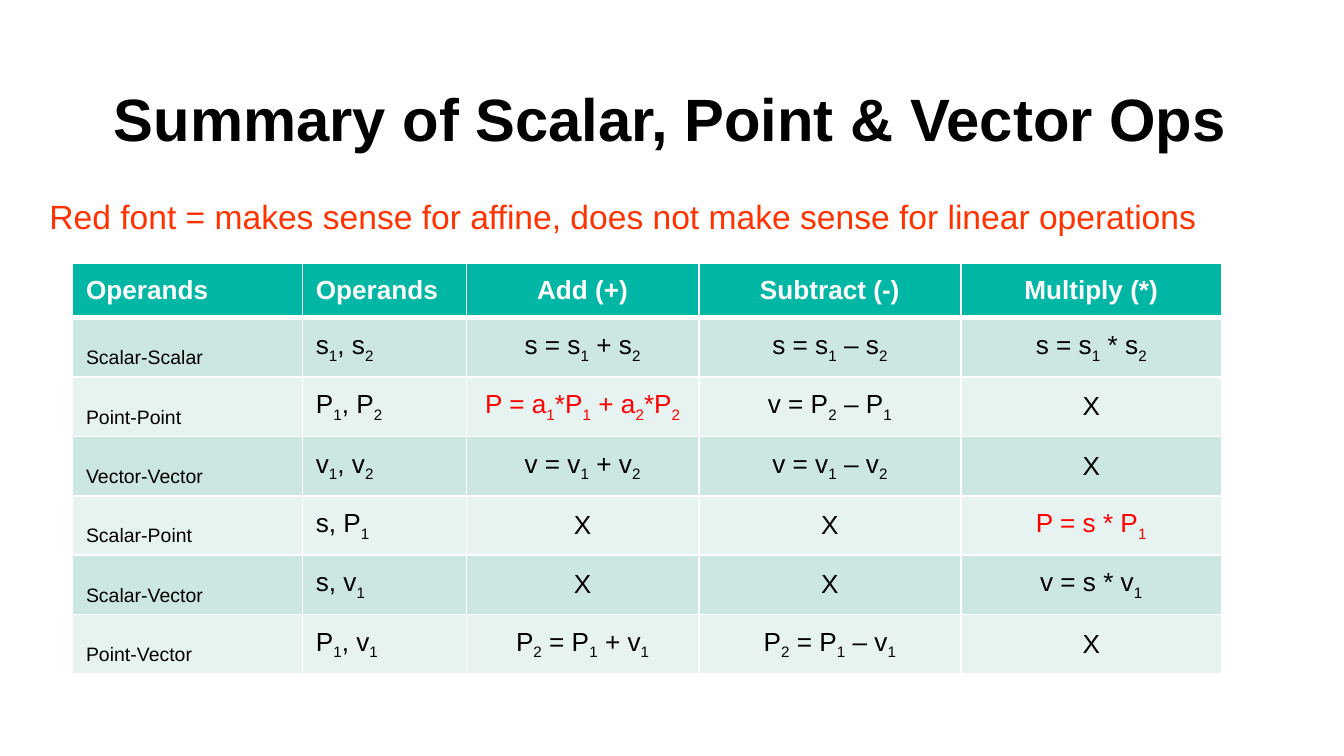
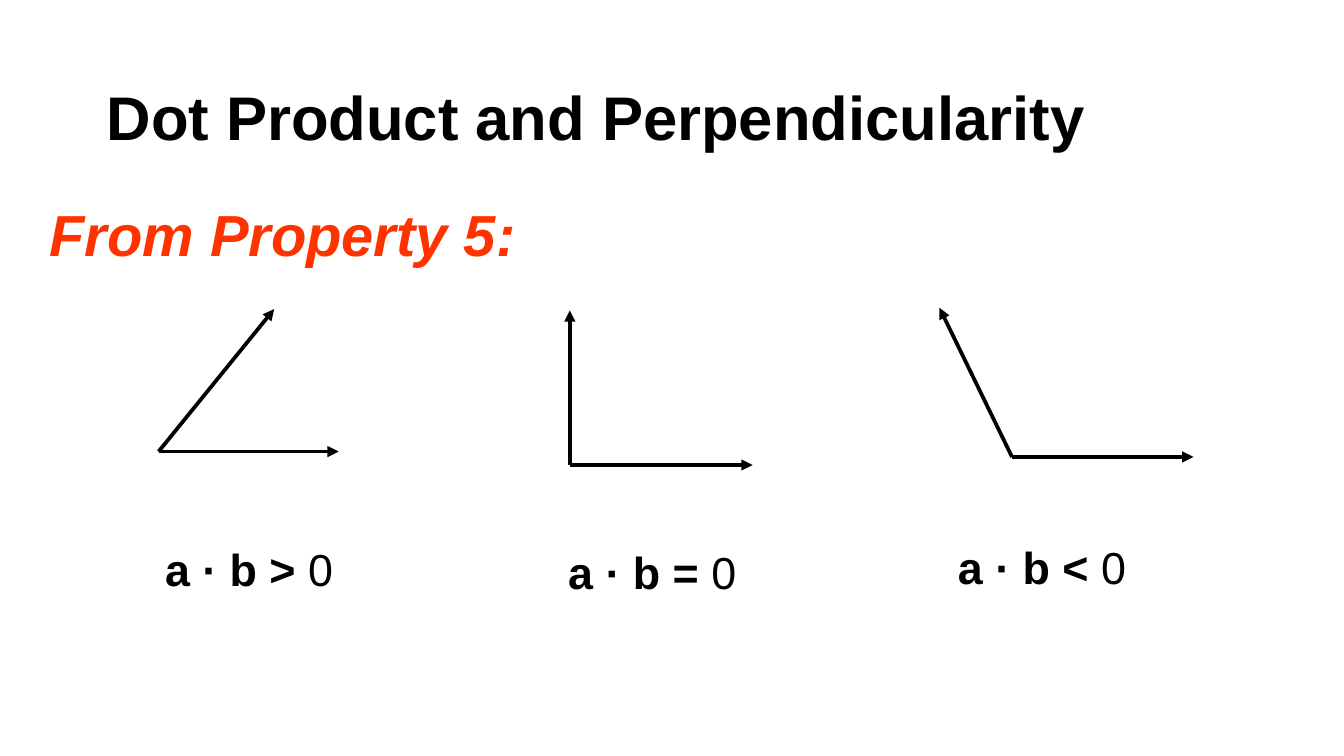
from lxml import etree
from pptx import Presentation
from pptx import util as u
from pptx.dml.color import RGBColor
from pptx.enum import shapes, text
from pptx.oxml.ns import qn

# Lengths are in grid units: the slide is 100 columns wide and 56.25 rows high.
COLUMNS, ROWS = 100, 56.25
FONT = "Arial"
BLACK, WHITE, RED, ORANGE = "000000", "FFFFFF", "FF0000", "FF3300"
HEADER_FILL, BAND_FILLS = "00B7A5", ("CCE6E1", "E7F3F0")
LEFT, CENTER = text.PP_ALIGN.LEFT, text.PP_ALIGN.CENTER

OPERATIONS = [
    ["Operands", "Operands", "Add (+)", "Subtract (-)", "Multiply (*)"],
    ["Scalar-Scalar", "s_1, s_2", "s = s_1 + s_2", "s = s_1 – s_2", "s = s_1 * s_2"],
    ["Point-Point", "P_1, P_2", "P = a_1*P_1 + a_2*P_2", "v = P_2 – P_1", "X"],
    ["Vector-Vector", "v_1, v_2", "v = v_1 + v_2", "v = v_1 – v_2", "X"],
    ["Scalar-Point", "s, P_1", "X", "X", "P = s * P_1"],
    ["Scalar-Vector", "s, v_1", "X", "X", "v = s * v_1"],
    ["Point-Vector", "P_1, v_1", "P_2 = P_1 + v_1", "P_2 = P_1 – v_1", "X"],
]
AFFINE_ONLY = {(2, 2), (4, 4)}

# Corner, tip of a, tip of b, label position, relation
ANGLES = [
    ((11.8, 33.6), (20.4, 23), (25.2, 33.6), (11.3, 39.8), ">"),
    ((42.4, 34.6), (42.4, 23.1), (56, 34.6), (41.3, 40), "="),
    ((75.3, 34), (69.9, 22.9), (88.8, 34), (70.3, 39.7), "<"),
]


def color(value):
    return RGBColor.from_string(value)


def split_subscripts(markup):
    """Yield (text, is_subscript); the character after each "_" is lowered."""
    first, *others = markup.split("_")
    pieces = [(first, False)]
    for other in others:
        pieces += [(other[0], True), (other[1:], False)]
    return [piece for piece in pieces if piece[0]]


class SlideWriter:
    def __init__(self, deck):
        self.deck = deck
        self.page = None

    def x(self, columns):
        return round(self.deck.slide_width * columns / COLUMNS)

    def y(self, rows):
        return round(self.deck.slide_height * rows / ROWS)

    def new_page(self):
        self.page = self.deck.slides.add_slide(self.deck.slide_layouts[6])

    def span(self, para, words, size, shade=BLACK, bold=False, italic=False, lowered=False):
        span = para.add_run()
        span.text = words
        font = span.font
        font.name, font.size = FONT, u.Pt(size)
        font.bold, font.italic = bold, italic
        font.color.rgb = color(shade)
        if lowered:
            span._r.get_or_add_rPr().set("baseline", "-25000")

    def text_box(self, left, top, width, height, anchor=text.MSO_ANCHOR.TOP):
        """Add a wrapping text box and return its first paragraph."""
        box = self.page.shapes.add_textbox(
            self.x(left), self.y(top), self.x(width), self.y(height))
        box.text_frame.word_wrap = True
        box.text_frame.vertical_anchor = anchor
        return box.text_frame.paragraphs[0]

    def title(self, words, size, width):
        para = self.text_box(2.8, 2.5, width, 9.4, text.MSO_ANCHOR.BOTTOM)
        para.alignment, para.line_spacing = CENTER, 1.04
        self.span(para, words, size, bold=True)

    def body(self, words, size, emphasis=False):
        para = self.text_box(2.7, 13.8, 94.3, 40)
        para.line_spacing = 1.1
        self.span(para, words, size, ORANGE, emphasis, emphasis)

    def arrow(self, start, end):
        (x1, y1), (x2, y2) = start, end
        arrow = self.page.shapes.add_connector(
            shapes.MSO_CONNECTOR.STRAIGHT,
            self.x(x1), self.y(y1), self.x(x2), self.y(y2))
        arrow.line.color.rgb = color(BLACK)
        arrow.line.width = u.Pt(2)
        properties = arrow._element.spPr
        etree.SubElement(properties.find(qn("a:ln")), qn("a:tailEnd"), type="triangle")
        etree.SubElement(properties, qn("a:effectLst"))

    def borders(self, cell, top=1, bottom=1):
        properties = cell._tc.get_or_add_tcPr()
        for side, points in (("L", 1), ("R", 1), ("T", top), ("B", bottom)):
            line = etree.SubElement(properties, qn("a:ln" + side), w=str(u.Pt(points)))
            fill = etree.SubElement(line, qn("a:solidFill"))
            etree.SubElement(fill, qn("a:srgbClr"), val=WHITE)

    def table(self, left, top, widths, row_height, content, red_cells):
        table = self.page.shapes.add_table(
            len(content), len(widths), self.x(left), self.y(top),
            self.x(sum(widths)), self.y(row_height * len(content))).table
        for column, width in zip(table.columns, widths):
            column.width = self.x(width)
        for r, entries in enumerate(content):
            for c, markup in enumerate(entries):
                cell = table.cell(r, c)
                self.borders(cell, top=3 if r == 1 else 1, bottom=3 if r == 0 else 1)
                cell.fill.solid()
                cell.fill.fore_color.rgb = color(BAND_FILLS[(r - 1) % 2] if r else HEADER_FILL)
                cell.vertical_anchor = text.MSO_ANCHOR.MIDDLE
                para = cell.text_frame.paragraphs[0]
                para.alignment = LEFT if c < 2 else CENTER
                if r == 0:
                    self.span(para, markup, 14, WHITE, bold=True)
                elif c == 0:
                    self.span(para, markup, 18, lowered=True)
                else:
                    shade = RED if (r, c) in red_cells else BLACK
                    for words, lowered in split_subscripts(markup):
                        self.span(para, words, 14, shade, lowered=lowered)


def operations_page(writer):
    writer.new_page()
    writer.title("Summary of Scalar, Point & Vector Ops", 32, 94.2)
    writer.body("Red font = makes sense for affine, "
                "does not make sense for linear operations", 18)
    writer.table(5.4, 19.6, [17.1, 12.2, 17.3, 19.5, 19.4], 4.06, OPERATIONS, AFFINE_ONLY)


def perpendicularity_page(writer):
    writer.new_page()
    writer.title("Dot Product and Perpendicularity", 33, 83.1)
    writer.body("From Property 5:", 31, emphasis=True)
    for corner, tip_a, tip_b, label, relation in ANGLES:
        writer.arrow(corner, tip_a)
        writer.arrow(corner, tip_b)
        para = writer.text_box(*label, 18, 3.8)
        writer.span(para, f"a · b {relation} ", 24, bold=True)
        writer.span(para, "0", 24)


def main():
    deck = Presentation()
    deck.slide_width, deck.slide_height = u.Inches(10), u.Inches(5.625)
    writer = SlideWriter(deck)
    operations_page(writer)
    perpendicularity_page(writer)
    deck.save("out.pptx")


if __name__ == "__main__":
    main()
